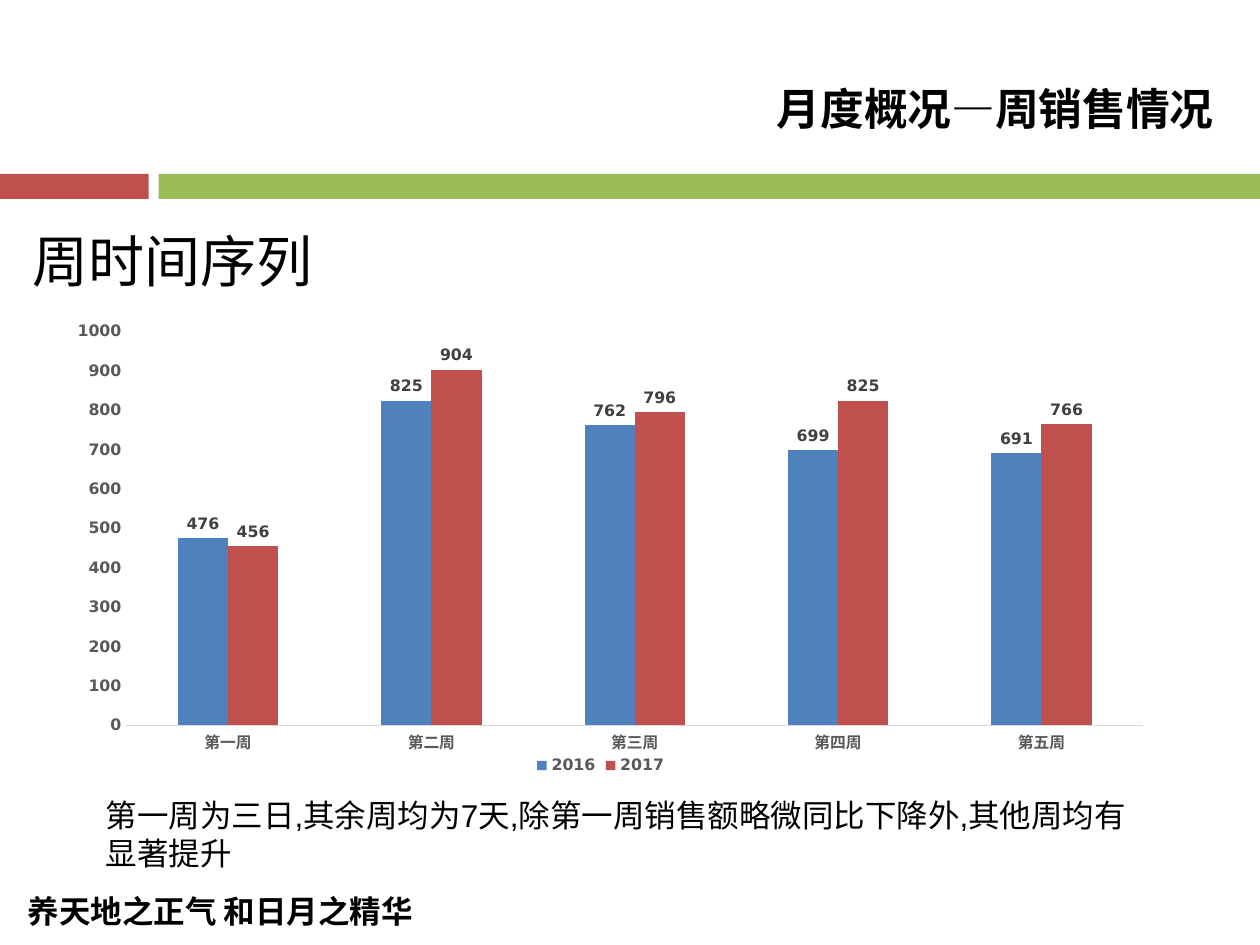
from dataclasses import dataclass
from typing import Optional

from lxml.etree import SubElement
from pptx import Presentation
from pptx.chart.data import CategoryChartData
from pptx.dml.color import RGBColor
from pptx.enum.chart import XL_CHART_TYPE as ChartType
from pptx.enum.chart import XL_LABEL_POSITION as LabelPosition
from pptx.enum.chart import XL_LEGEND_POSITION as LegendPosition
from pptx.enum.chart import XL_TICK_MARK as TickMark
from pptx.enum.shapes import MSO_SHAPE as ShapeKind
from pptx.enum.text import MSO_ANCHOR as Anchor
from pptx.enum.text import MSO_AUTO_SIZE as AutoSize
from pptx.enum.text import PP_ALIGN as Align
from pptx.oxml import parse_xml
from pptx.oxml.ns import nsdecls, qn
from pptx.util import Inches, Pt

CELL = 0.1
COLUMNS, ROWS = 100, 75


@dataclass(frozen=True)
class Theme:
    ink: str = "000000"
    green: str = "9BBB59"
    blue: str = "4F81BD"
    red: str = "C0504D"
    axis_text: str = "595959"
    label_text: str = "404040"
    axis_line: str = "D9D9D9"
    latin: str = "Arial"
    chinese: str = "Noto Sans CJK SC"
    chart: str = "DejaVu Sans"
    title_size: int = 25
    heading_size: int = 32
    text_size: int = 18
    chart_size: int = 10
    small_size: int = 9


@dataclass(frozen=True)
class Area:
    column: float
    row: float
    columns: float
    rows: float

    def lengths(self) -> list:
        cells = (self.column, self.row, self.columns, self.rows)
        return [Inches(cell * CELL) for cell in cells]


@dataclass(frozen=True)
class Bar:
    area: Area
    color: str


@dataclass(frozen=True)
class Label:
    words: str
    area: Area
    size: int
    font: str
    bold: bool = False
    align: Align = Align.LEFT


@dataclass(frozen=True)
class Year:
    name: str
    sales: tuple
    color: str


THEME = Theme()
BARS = (
    Bar(Area(12.6, 13.8, 87.4, 2), THEME.green),
    Bar(Area(0, 13.8, 11.8, 2), THEME.red),
)
TITLE = Label("月度概况—周销售情况", Area(21.9, 6, 75.4, 5.2),
              THEME.title_size, THEME.latin, True, Align.RIGHT)
HEADING = Label("周时间序列", Area(1.6, 17.5, 91, 10.6),
                THEME.heading_size, THEME.chinese)
SLOGAN = Label("养天地之正气 和日月之精华", Area(1.2, 70.3, 40.2, 4),
               THEME.text_size, THEME.chinese, True)
COMMENT = Label("第一周为三日,其余周均为7天,除第一周销售额略微同比下降外,其他周均有显著提升",
                Area(7.4, 62.7, 85.1, 7.1), THEME.text_size, THEME.latin)
CHART_AREA = Area(4.3, 24.9, 88.2, 38.6)
WEEKS = ("第一周", "第二周", "第三周", "第四周", "第五周")
YEARS = (
    Year("2016", (476, 825, 762, 699, 691), THEME.blue),
    Year("2017", (456, 904, 796, 825, 766), THEME.red),
)


def rgb(color: str) -> RGBColor:
    return RGBColor.from_string(color)


def place(shape, area: Area) -> None:
    shape.left, shape.top, shape.width, shape.height = area.lengths()


def style_font(font, size: int, color: str, name: str, bold: bool) -> None:
    font.size, font.name, font.bold = Pt(size), name, bold
    font.color.rgb = rgb(color)


def draw_bar(page, bar: Bar) -> None:
    shape = page.shapes.add_shape(ShapeKind.RECTANGLE, *bar.area.lengths())
    shape.shadow.inherit = False
    shape.fill.solid()
    shape.fill.fore_color.rgb = rgb(bar.color)
    shape.line.fill.background()


def write_label(box, label: Label) -> None:
    place(box, label.area)
    frame = box.text_frame
    frame.word_wrap = True
    frame.auto_size = AutoSize.NONE
    frame.vertical_anchor = Anchor.TOP
    para = frame.paragraphs[0]
    para.alignment = label.align
    span = para.add_run()
    span.text = label.words
    style_font(span.font, label.size, THEME.ink, label.font, label.bold)
    SubElement(span.font._element, qn("a:ea")).set("typeface", THEME.chinese)


def remove_bullet(box) -> None:
    settings = box.text_frame.paragraphs[0]._p.get_or_add_pPr()
    settings.set("marL", "0")
    settings.set("indent", "0")
    SubElement(settings, qn("a:buNone"))


def manual_layout(x: float, y: float, w: Optional[float] = None,
                  h: Optional[float] = None):
    target = '<c:layoutTarget val="inner"/>' if w else ""
    sizes = f'<c:w val="{w}"/><c:h val="{h}"/>' if w else ""
    return parse_xml(
        f'<c:layout {nsdecls("c")}><c:manualLayout>{target}'
        '<c:xMode val="edge"/><c:yMode val="edge"/>'
        f'<c:x val="{x}"/><c:y val="{y}"/>{sizes}</c:manualLayout></c:layout>')


def style_axes(chart) -> None:
    for axis in (chart.category_axis, chart.value_axis):
        axis.major_tick_mark = axis.minor_tick_mark = TickMark.NONE
        axis.has_major_gridlines = False
        style_font(axis.tick_labels.font, THEME.small_size,
                   THEME.axis_text, THEME.chart, True)
    chart.category_axis.format.line.color.rgb = rgb(THEME.axis_line)
    chart.category_axis.format.line.width = Pt(0.75)
    values = chart.value_axis
    values.format.line.fill.background()
    values.minimum_scale, values.maximum_scale = 0, 1000
    values.major_unit = 100
    values.tick_labels.number_format = "0"
    values.tick_labels.number_format_is_linked = False


def style_series(series, year: Year) -> None:
    series.format.fill.solid()
    series.format.fill.fore_color.rgb = rgb(year.color)
    series.invert_if_negative = False
    labels = series.data_labels
    labels.show_value = True
    labels.position = LabelPosition.OUTSIDE_END
    labels.number_format = "0"
    labels.number_format_is_linked = False
    style_font(labels.font, THEME.small_size, THEME.label_text, THEME.chart, True)


def draw_chart(page) -> None:
    table = CategoryChartData(number_format="0")
    table.categories = WEEKS
    for year in YEARS:
        table.add_series(year.name, year.sales)
    chart = page.shapes.add_chart(
        ChartType.COLUMN_CLUSTERED, *CHART_AREA.lengths(), table).chart
    chart.has_title = False
    style_font(chart.font, THEME.chart_size, THEME.ink, THEME.chart, True)
    style_axes(chart)
    plot = chart.plots[0]
    plot.gap_width, plot.overlap, plot.vary_by_categories = 206, 0, False
    for series, year in zip(plot.series, YEARS):
        style_series(series, year)
    chart.has_legend = True
    legend = chart.legend
    legend.position = LegendPosition.BOTTOM
    legend.include_in_layout = False
    style_font(legend.font, THEME.small_size, THEME.axis_text, THEME.chart, True)
    for holder, index, layout in (
        (chart._chartSpace.chart.plotArea, 0, manual_layout(0.065, 0.037, 0.915, 0.81)),
        (legend._element, 1, manual_layout(0.43, 0.9)),
    ):
        for previous in holder.findall(qn("c:layout")):
            holder.remove(previous)
        holder.insert(index, layout)


def main() -> None:
    deck = Presentation()
    deck.slide_width, deck.slide_height = Inches(COLUMNS * CELL), Inches(ROWS * CELL)
    page = deck.slides.add_slide(deck.slide_layouts[1])
    for bar in BARS:
        draw_bar(page, bar)
    body = page.placeholders[1]
    write_label(page.shapes.title, TITLE)
    write_label(body, HEADING)
    remove_bullet(body)
    draw_chart(page)
    for label in (SLOGAN, COMMENT):
        write_label(page.shapes.add_textbox(*label.area.lengths()), label)
    deck.save("out.pptx")


if __name__ == "__main__":
    main()
